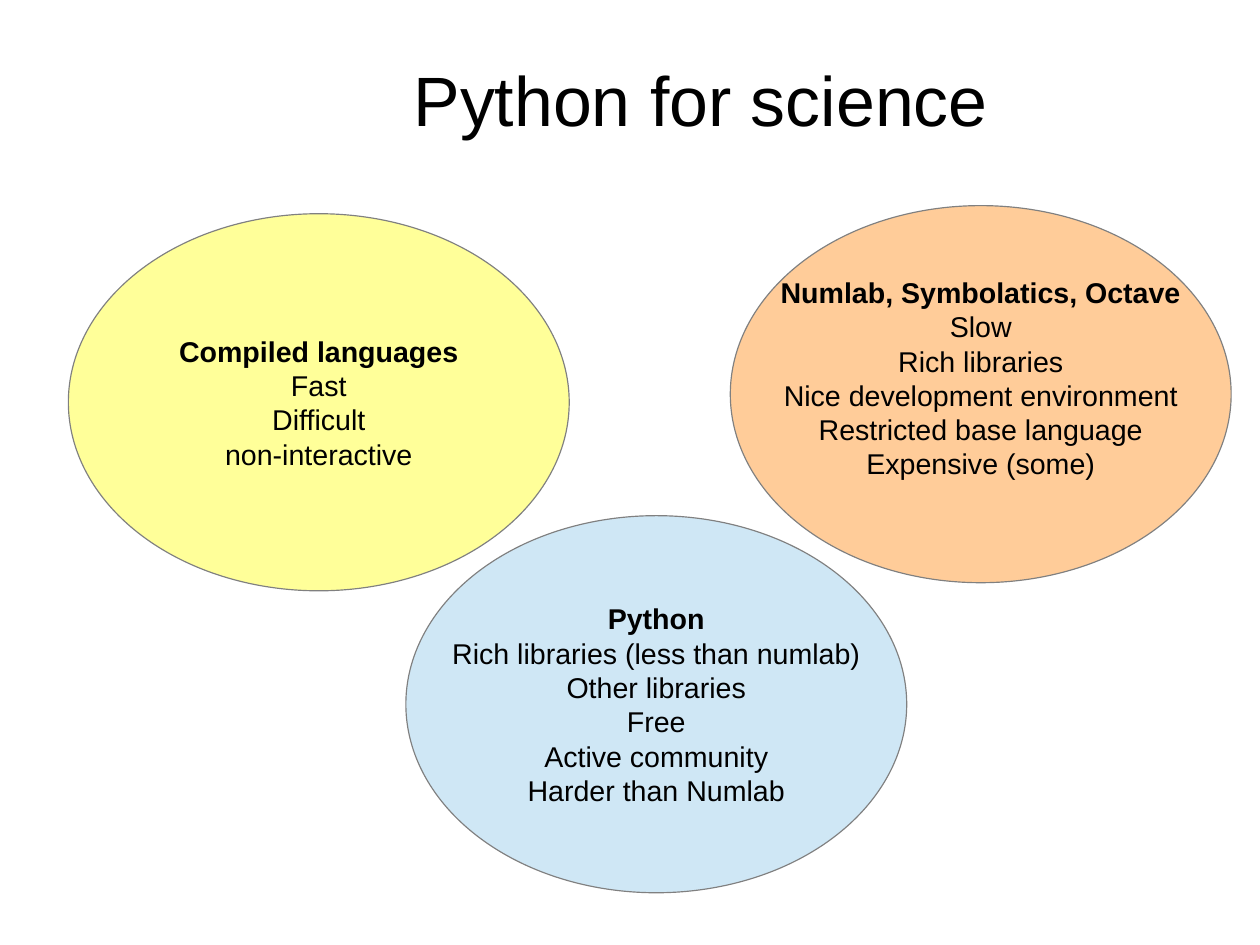
from pptx import Presentation
from pptx.dml.color import RGBColor
from pptx.enum.shapes import MSO_SHAPE as Shape
from pptx.enum.text import MSO_ANCHOR as Anchor, PP_ALIGN as Align
from pptx.util import Cm, Pt

COLOURS = {
    "text": "000000",
    "outline": "808080",
    "compiled": "FFFF99",
    "packages": "FFCC99",
    "python": "CFE7F5",
}
FONT = "Arial"
OVAL_WIDTH, OVAL_HEIGHT = 11.13, 8.38
INSET = 0.13
LINE_HEIGHT = 0.73

OPTIONS = [
    ("compiled", 1.52, 4.75, INSET,
     ["Compiled languages", "Fast", "Difficult", "non-interactive"]),
    ("packages", 16.23, 4.57, INSET + LINE_HEIGHT,
     ["Numlab, Symbolatics, Octave", "Slow", "Rich libraries",
      "Nice development environment", "Restricted base language",
      "Expensive (some)"]),
    ("python", 9.02, 11.46, INSET,
     ["Python", "Rich libraries (less than numlab)", "Other libraries",
      "Free", "Active community", "Harder than Numlab"]),
]


def colour(role):
    """Return the colour of a role."""
    return RGBColor.from_string(COLOURS[role])


def write_line(paragraph, wording, size, bold=False):
    """Write one centred line of text."""
    paragraph.alignment = Align.CENTER
    run = paragraph.add_run()
    run.text = wording
    run.font.name = FONT
    run.font.size = Pt(size)
    run.font.bold = bold
    run.font.color.rgb = colour("text")


def add_heading(slide, wording):
    """Add the slide heading."""
    heading = slide.shapes.add_textbox(Cm(4.57), Cm(0.43), Cm(22.02), Cm(3.51))
    frame = heading.text_frame
    frame.word_wrap = True
    frame.vertical_anchor = Anchor.MIDDLE
    frame.margin_left = frame.margin_right = Cm(0)
    frame.margin_top = frame.margin_bottom = Cm(0)
    write_line(frame.paragraphs[0], wording, 44)


def add_option(slide, role, left, top, bottom_inset, lines):
    """Add an oval with a bold name above its traits."""
    oval = slide.shapes.add_shape(
        Shape.OVAL, Cm(left), Cm(top), Cm(OVAL_WIDTH), Cm(OVAL_HEIGHT))
    oval.shadow.inherit = False
    oval.fill.solid()
    oval.fill.fore_color.rgb = colour(role)
    oval.line.color.rgb = colour("outline")
    oval.line.width = Pt(0)
    frame = oval.text_frame
    frame.word_wrap = False
    frame.vertical_anchor = Anchor.MIDDLE
    frame.margin_top = Cm(INSET)
    frame.margin_bottom = Cm(bottom_inset)
    name, *traits = lines
    write_line(frame.paragraphs[0], name, 18, bold=True)
    for trait in traits:
        write_line(frame.add_paragraph(), trait, 18)


def main():
    """Build and save the slide."""
    deck = Presentation()
    deck.slide_width, deck.slide_height = Cm(28), Cm(21)
    slide = deck.slides.add_slide(deck.slide_layouts[6])
    add_heading(slide, "Python for science")
    for option in OPTIONS:
        add_option(slide, *option)
    deck.save("out.pptx")


if __name__ == "__main__":
    main()
